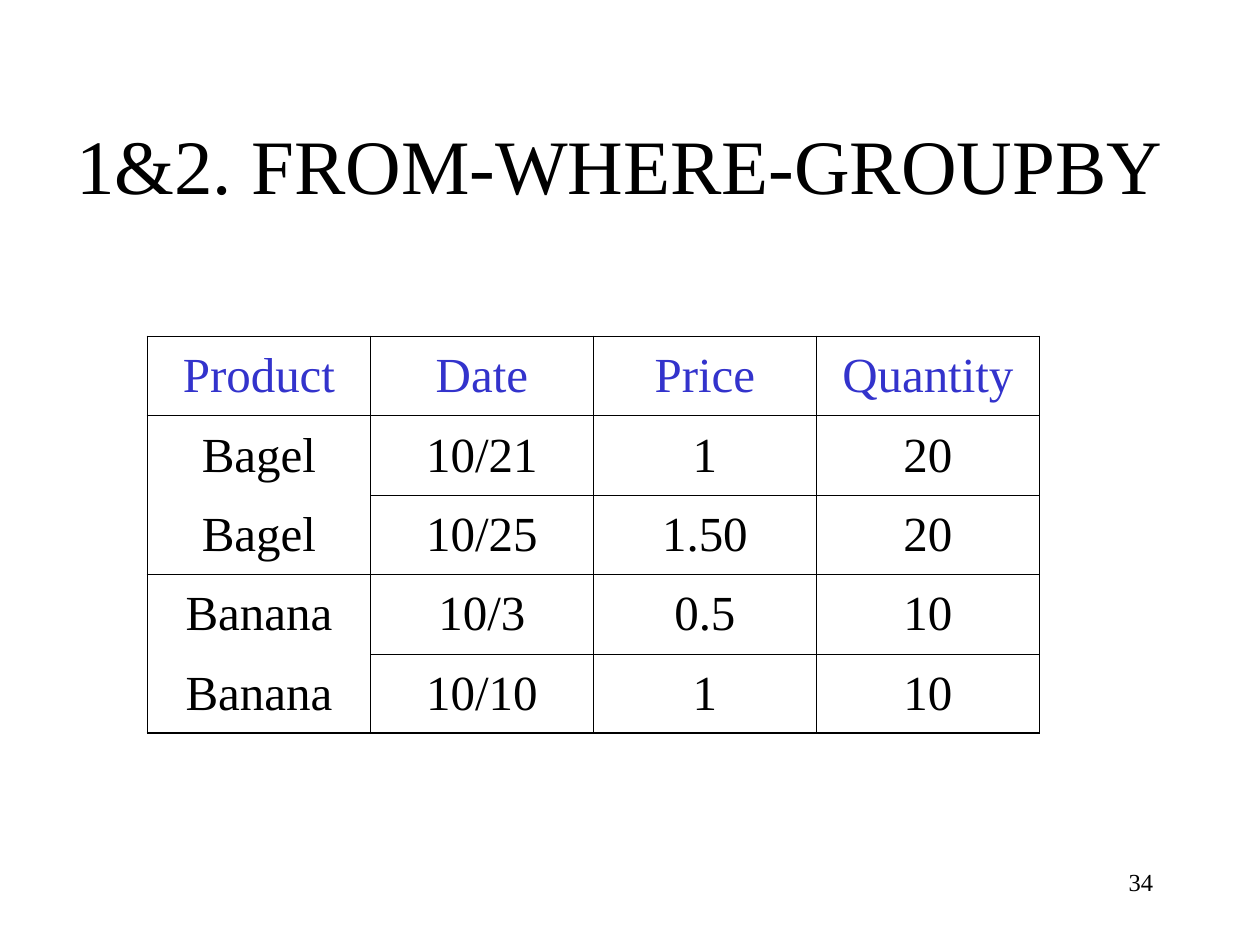
from dataclasses import dataclass
from lxml.etree import SubElement
from pptx import Presentation
from pptx.dml.color import RGBColor
from pptx.enum.text import MSO_ANCHOR as Anchor, PP_ALIGN as Align
from pptx.oxml.ns import qn
from pptx.util import Inches, Pt


@dataclass(frozen=True)
class Theme:
    font: str = "Times New Roman"
    ink: str = "000000"
    heading: str = "3333CC"
    title_size: int = 44
    table_size: int = 28
    number_size: int = 14
    thin: float = 0.45
    thick: float = 1.08


theme = Theme()


def write(text_frame, text, size, color, align):
    text_frame.text = text
    paragraph = text_frame.paragraphs[0]
    paragraph.alignment = align
    font = paragraph.runs[0].font
    font.name = theme.font
    font.size = Pt(size)
    font.color.rgb = RGBColor.from_string(color)
    return paragraph


def add_border(cell, side, width):
    line = SubElement(cell._tc.get_or_add_tcPr(), qn(f"a:ln{side}"))
    if width:
        line.set("w", str(Pt(width)))
        fill = SubElement(line, qn("a:solidFill"))
        SubElement(fill, qn("a:srgbClr")).set("val", theme.ink)
    else:
        SubElement(line, qn("a:noFill"))


presentation = Presentation()
presentation.slide_width = Inches(10)
presentation.slide_height = Inches(7.5)
slide = presentation.slides.add_slide(presentation.slide_layouts[6])

labels = [
    ("1&2. FROM-WHERE-GROUPBY", (0.42, 0.67, 9, 1.25), theme.title_size, Align.CENTER, Anchor.MIDDLE),
    ("34", (7.17, 6.83, 2.08, 0.5), theme.number_size, Align.RIGHT, Anchor.TOP),
]
for text, place, size, align, anchor in labels:
    box = slide.shapes.add_textbox(*map(Inches, place))
    box.text_frame.word_wrap = True
    box.text_frame.vertical_anchor = anchor
    write(box.text_frame, text, size, theme.ink, align)

sales = [
    ("Product", "Date", "Price", "Quantity"),
    ("Bagel", "10/21", "1", "20"),
    ("Bagel", "10/25", "1.50", "20"),
    ("Banana", "10/3", "0.5", "10"),
    ("Banana", "10/10", "1", "10"),
]
row_count, column_count = len(sales), len(sales[0])
column_width, row_height = Inches(1.77), Inches(0.63)
table = slide.shapes.add_table(
    row_count, column_count, Inches(1.17), Inches(2.67),
    column_width * column_count, row_height * row_count,
).table
table.first_row = False
table.horz_banding = False
for column in table.columns:
    column.width = column_width
for row in table.rows:
    row.height = row_height

for row_index, record in enumerate(sales):
    for column_index, value in enumerate(record):
        cell = table.cell(row_index, column_index)
        color = theme.ink if row_index else theme.heading
        paragraph = write(cell.text_frame, value, theme.table_size, color, Align.CENTER)
        paragraph.space_before = Pt(7)
        cell.vertical_anchor = Anchor.MIDDLE

        same_above = column_index == 0 and row_index > 0 and sales[row_index - 1][0] == value
        same_below = column_index == 0 and row_index < row_count - 1 and sales[row_index + 1][0] == value
        borders = {
            "L": theme.thick if column_index == 0 else theme.thin,
            "R": theme.thick if column_index == column_count - 1 else theme.thin,
            "T": 0 if same_above else theme.thick if row_index == 0 else theme.thin,
            "B": 0 if same_below else theme.thick if row_index == row_count - 1 else theme.thin,
        }
        for side, width in borders.items():
            add_border(cell, side, width)
        cell.fill.background()

presentation.save("out.pptx")
